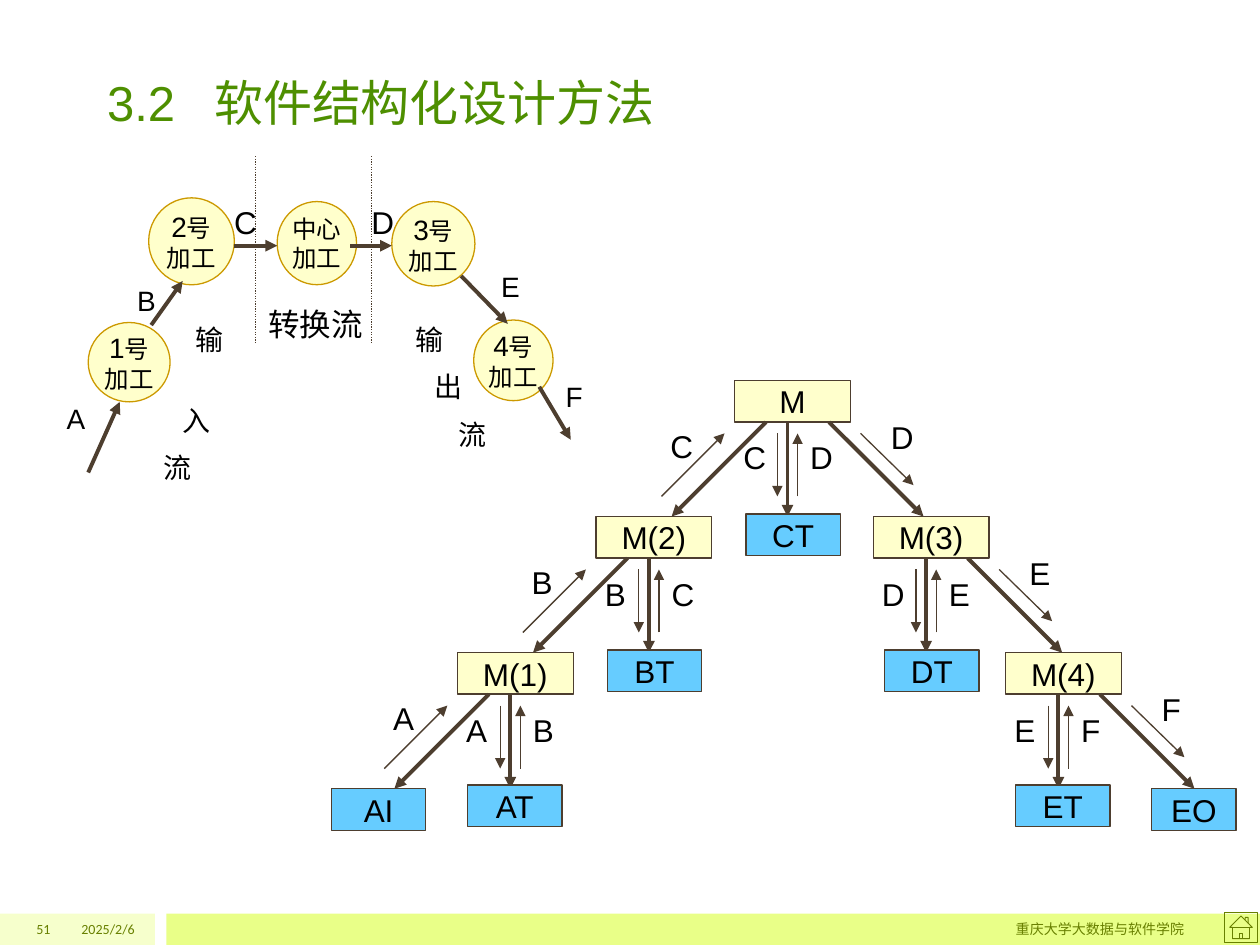
from lxml import etree
from pptx import Presentation
from pptx.dml.color import RGBColor
from pptx.enum.dml import MSO_LINE
from pptx.enum.shapes import MSO_CONNECTOR, MSO_SHAPE
from pptx.enum.text import MSO_ANCHOR, MSO_AUTO_SIZE, PP_ALIGN
from pptx.oxml.ns import qn
from pptx.util import Inches, Pt

BLACK = RGBColor(0x00, 0x00, 0x00)
BROWN = RGBColor(0x4D, 0x3E, 0x2F)
CREAM = RGBColor(0xFF, 0xFF, 0xCC)
GOLD = RGBColor(0xCC, 0x99, 0x00)
SKY = RGBColor(0x66, 0xCC, 0xFF)
TITLE_GREEN = RGBColor(0x4E, 0x8F, 0x00)
PALE_LIME = RGBColor(0xF6, 0xFF, 0xCC)
LIME = RGBColor(0xE9, 0xFF, 0x88)
OLIVE = RGBColor(0x68, 0x80, 0x00)

TITLE = "3.2\t软件结构化设计方法"

# Footer: text, left, width
FOOTER_TOP, FOOTER_HEIGHT = 7.25, 0.25
FOOTER_BANDS = [(0, 1.23, PALE_LIME), (1.32, 8.68, LIME)]
FOOTER_TEXTS = [("2025/2/6", 0.5, 0.67),
                ("重庆大学大数据与软件学院", 2, 7.5),
                ("51", 0, 0.5)]

# Data flow: each process has its lines as (text, size) runs and its box
WORK = [("加工", 14)]
PROCESSES = [
    ([[("中心", 14)], WORK], (2.2, 1.6, 0.63, 0.66)),
    ([[("2", 16), ("号", 14)], WORK], (1.18, 1.57, 0.68, 0.69)),
    ([[("3", 16), ("号", 14)], WORK], (3.11, 1.6, 0.66, 0.67)),
    ([[("1", 16), ("号", 14)], WORK], (0.7, 2.56, 0.65, 0.63)),
    ([[("4", 16), ("号", 14)], WORK], (3.76, 2.54, 0.63, 0.64)),
]
FLOWS = [(0.7, 3.75, 0.95, 3.19), (1.2, 2.58, 1.45, 2.23),
         (1.86, 1.95, 2.2, 1.95), (2.78, 1.95, 3.11, 1.95),
         (3.66, 2.19, 4.03, 2.57), (4.28, 3.07, 4.53, 3.49)]
FLOW_LABELS = [("D", 18, (2.85, 1.56, 0.5, 0.4)), ("C", 18, (1.76, 1.56, 0.67, 0.4)),
               ("A", 16, (0.43, 3.14, 0.58, 0.37)), ("B", 16, (0.99, 2.2, 0.75, 0.37)),
               ("E", 16, (3.88, 2.09, 0.57, 0.37)), ("F", 16, (4.39, 2.96, 0.6, 0.37)),
               ("转换流", 18, (2.03, 2.37, 1.09, 0.4))]
BOUNDARY_XS, BOUNDARY_TOP, BOUNDARY_BOTTOM = (2.03, 2.95), 1.24, 2.72
# Slanted captions: box, then (character, indent in inches, space before in points)
CAPTIONS = [((1.2, 2.51, 0.75, 1.18), [("输", 0.25, 0), ("入", 0.15, 27), ("流", 0, 8)]),
            ((3.2, 2.51, 1.17, 1.18), [("输", 0, 0), ("出", 0.15, 8), ("流", 0.34, 8)])]

# Module tree: name, left, top, and the data on each branch
MODULES = [
    ("M", 5.83, 3.02, {"left": "C", "down": "C", "up": "D", "right": "D"}),
    ("M(2)", 4.73, 4.1, {"left": "B", "down": "B", "up": "C"}),
    ("M(3)", 6.93, 4.1, {"down": "D", "up": "E", "right": "E"}),
    ("M(1)", 3.63, 5.18, {"left": "A", "down": "A", "up": "B"}),
    ("M(4)", 7.98, 5.18, {"down": "E", "up": "F", "right": "F"}),
]
MODULE_WIDTH, BOX_HEIGHT = 0.92, 0.33
LEAVES = [("CT", 5.92, 4.08, 0.75), ("BT", 4.82, 5.16, 0.75), ("DT", 7.02, 5.16, 0.75),
          ("AI", 2.63, 6.26, 0.75), ("AT", 3.71, 6.23, 0.75), ("ET", 8.06, 6.23, 0.75),
          ("EO", 9.14, 6.26, 0.67)]
# Offsets from a module's top left corner
CALLS = {"left": (0.25, 0.33, -0.5, 1.08), "down": (0.42, 0.33, 0.42, 1.08),
         "right": (0.75, 0.33, 1.5, 1.08)}
DATA_ARROWS = {"left": (-0.58, 0.92, -0.08, 0.42), "down": (0.34, 0.42, 0.34, 0.92),
               "up": (0.5, 0.92, 0.5, 0.42), "right": (1, 0.42, 1.42, 0.83)}
DATA_LABELS = {"left": (-0.58, 0.33, 0.5), "down": (0, 0.42, 0.5),
               "up": (0.53, 0.42, 0.49), "right": (1.17, 0.26, 0.62)}
LABEL_HEIGHT = 0.38
TREE_INSETS = (0.07, 0.04)

prs = Presentation()
prs.slide_width, prs.slide_height = Inches(10), Inches(7.5)
slide = prs.slides.add_slide(prs.slide_layouts[5])
shapes = slide.shapes


def inches(values):
    return [Inches(value) for value in values]


def add_run(paragraph, text, size, color=BLACK, font="Arial"):
    run = paragraph.add_run()
    run.text = text
    run.font.size, run.font.name = Pt(size), font
    run.font.color.rgb = color


def set_insets(frame, insets):
    frame.margin_left = frame.margin_right = Inches(insets[0])
    frame.margin_top = frame.margin_bottom = Inches(insets[1])


def add_box(kind, box, fill, line=None, width=0.75):
    shape = shapes.add_shape(kind, *inches(box))
    shape.shadow.inherit = False
    if fill is None:
        shape.fill.background()
    else:
        shape.fill.solid()
        shape.fill.fore_color.rgb = fill
    if line is None:
        shape.line.fill.background()
    else:
        shape.line.color.rgb, shape.line.width = line, Pt(width)
    return shape


def add_node(kind, box, fill, line, rows, insets=(0.1, 0.05)):
    frame = add_box(kind, box, fill, line).text_frame
    frame.word_wrap, frame.vertical_anchor = False, MSO_ANCHOR.MIDDLE
    set_insets(frame, insets)
    for index, runs in enumerate(rows):
        paragraph = frame.add_paragraph() if index else frame.paragraphs[0]
        paragraph.alignment = PP_ALIGN.CENTER
        for text, size in runs:
            add_run(paragraph, text, size)


def add_text(box, insets=(0.1, 0.05)):
    frame = shapes.add_textbox(*inches(box)).text_frame
    frame.word_wrap = True
    set_insets(frame, insets)
    return frame


def add_line(ends, width, arrow=True):
    line = shapes.add_connector(MSO_CONNECTOR.STRAIGHT, *inches(ends))
    line.line.color.rgb, line.line.width = BROWN, Pt(width)
    if arrow:
        etree.SubElement(line.line._get_or_add_ln(), qn("a:tailEnd"), type="triangle")
    else:
        line.line.dash_style = MSO_LINE.ROUND_DOT
    etree.SubElement(line._element.spPr, qn("a:effectLst"))


def shifted(ends, left, top):
    x1, y1, x2, y2 = ends
    return left + x1, top + y1, left + x2, top + y2


# Footer
for left, width, color in FOOTER_BANDS:
    add_box(MSO_SHAPE.RECTANGLE, (left, FOOTER_TOP, width, FOOTER_HEIGHT), color)
add_box(MSO_SHAPE.ACTION_BUTTON_HOME, (9.72, 7.24, 0.26, 0.24), None, OLIVE, 0.5)
for text, left, width in FOOTER_TEXTS:
    frame = add_text((left, FOOTER_TOP, width, FOOTER_HEIGHT))
    frame.vertical_anchor = MSO_ANCHOR.MIDDLE
    frame.paragraphs[0].alignment = PP_ALIGN.RIGHT
    add_run(frame.paragraphs[0], text, 8, OLIVE, "Calibri")

# Title, with a tab stop after its number
title = shapes.title
title.left, title.top, title.width, title.height = inches((0.75, 0.38, 8.51, 0.71))
title.text_frame.auto_size = MSO_AUTO_SIZE.NONE
title.text_frame.vertical_anchor = MSO_ANCHOR.BOTTOM
heading = title.text_frame.paragraphs[0]
heading.alignment = PP_ALIGN.LEFT
tabs = etree.SubElement(heading._p.get_or_add_pPr(), qn("a:tabLst"))
etree.SubElement(tabs, qn("a:tab"), pos=str(Inches(0.85)), algn="l")
add_run(heading, TITLE, 28, TITLE_GREEN)

# Data flow diagram
for rows, box in PROCESSES:
    add_node(MSO_SHAPE.OVAL, box, CREAM, GOLD, rows)
for ends in FLOWS:
    add_line(ends, 2.25)
for x in BOUNDARY_XS:
    add_line((x, BOUNDARY_TOP, x, BOUNDARY_BOTTOM), 0.75, arrow=False)
for text, size, box in FLOW_LABELS:
    add_run(add_text(box).paragraphs[0], text, size)
for box, characters in CAPTIONS:
    frame = add_text(box)
    for index, (character, indent, space) in enumerate(characters):
        paragraph = frame.add_paragraph() if index else frame.paragraphs[0]
        paragraph._p.get_or_add_pPr().set("marL", str(Inches(indent)))
        if space:
            paragraph.space_before = Pt(space)
        add_run(paragraph, character, 16)

# Module tree
for name, left, top, data in MODULES:
    add_node(MSO_SHAPE.RECTANGLE, (left, top, MODULE_WIDTH, BOX_HEIGHT),
             CREAM, BROWN, [[(name, 18)]], TREE_INSETS)
    for branch, label in data.items():
        if branch in CALLS:
            add_line(shifted(CALLS[branch], left, top), 2.25)
        add_line(shifted(DATA_ARROWS[branch], left, top), 0.75)
        dx, dy, width = DATA_LABELS[branch]
        frame = add_text((left + dx, top + dy, width, LABEL_HEIGHT), TREE_INSETS)
        add_run(frame.paragraphs[0], label, 18)
for name, left, top, width in LEAVES:
    add_node(MSO_SHAPE.RECTANGLE, (left, top, width, BOX_HEIGHT),
             SKY, BROWN, [[(name, 18)]], TREE_INSETS)

prs.save("out.pptx")
